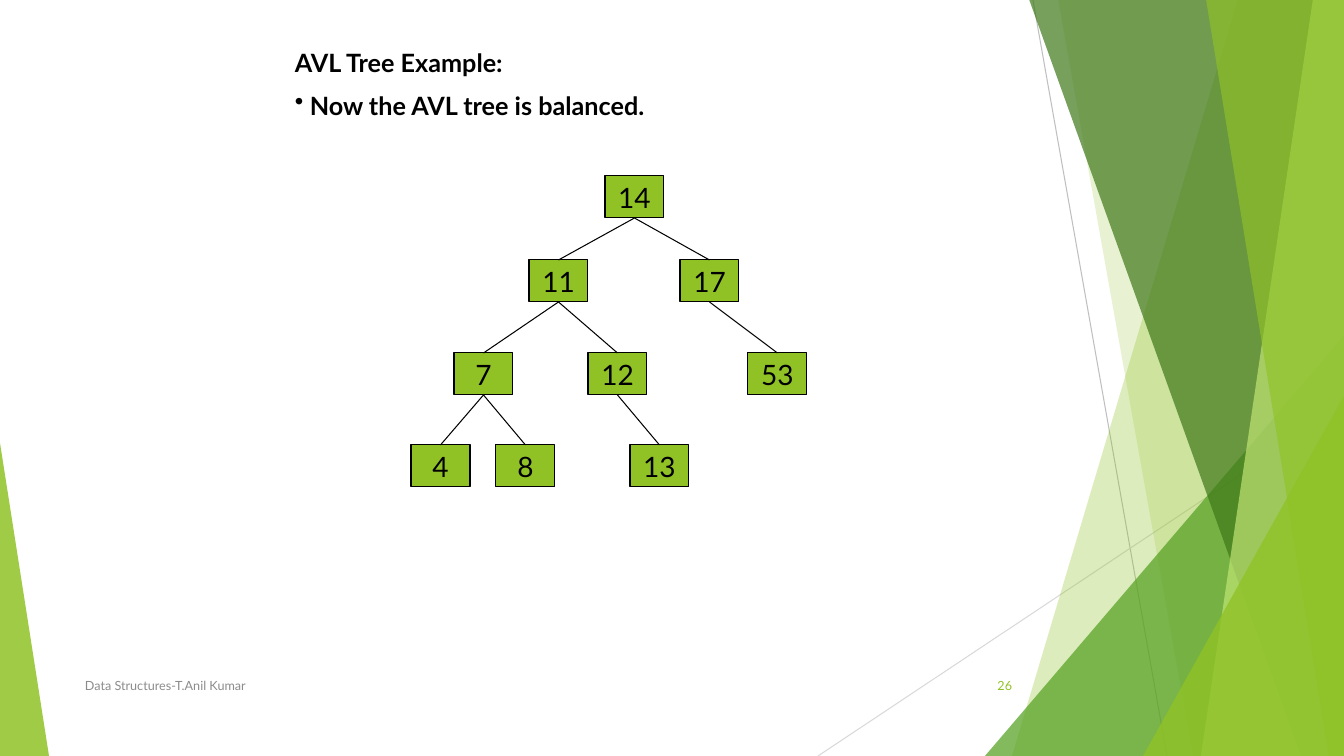
from lxml import etree
from pptx import Presentation, util as u
from pptx.dml.color import RGBColor
from pptx.enum import shapes, text
from pptx.oxml.ns import qn

# Content: node label -> (left px, level)
NODES = {
    "14": (605, 0), "11": (529, 1), "17": (680, 1),
    "7": (454, 2), "12": (588, 2), "53": (748, 2),
    "4": (411, 3), "8": (496, 3), "13": (630, 3),
}
EDGES = [("14", "11"), ("14", "17"), ("11", "7"), ("11", "12"),
         ("17", "53"), ("7", "4"), ("7", "8"), ("12", "13")]
TITLE = "AVL Tree Example:"
POINT = "Now the AVL tree is balanced."
FOOTER = "Data Structures-T.Anil Kumar"
NUMBER = "26"

# Colours
WHITE = RGBColor(0xFF, 0xFF, 0xFF)
BLACK = RGBColor(0, 0, 0)
LIME = RGBColor(0x90, 0xC2, 0x26)
GREEN = RGBColor(0x54, 0xA0, 0x21)
DARK = RGBColor(0x3F, 0x78, 0x19)
PALE = RGBColor(0xC0, 0xE4, 0x74)
GRAY = RGBColor(0x8C, 0x8C, 0x8C)
SILVER = RGBColor(0xBF, 0xBF, 0xBF)
MIST = RGBColor(0xD9, 0xD9, 0xD9)

# Geometry in px
WIDE, HIGH = 1344, 756
LEVELS = [176, 260, 353, 445]
NODE_W, NODE_H = 59, 42
HANG = 15
RAYS = [((1033, 0), (1167, HIGH), SILVER), ((WIDE, 406), (818, HIGH), MIST)]
# Bands reach the right edge: (top x, bottom x); triangles: (box, apex)
FACETS = [
    ("band", (1238, 1012), LIME, 30),
    ("band", (1058, 1193), LIME, 20),
    ("tri", ((985, 336, 359, 420), 1), GREEN, 72),
    ("band", (1029, 1301), DARK, 70),
    ("band", (1313, 1201), PALE, 70),
    ("band", (1206, 1329), LIME, 65),
    ("tri", ((1143, 396, 201, 360), 1), LIME, 80),
    ("tri", ((0, 443, 49, 313), 0), LIME, 85),
]
SCALE = 914400 / 100.8


def px(*nums):
    return [u.Emu(round(n * SCALE)) for n in nums]


def style(para, size, color, **extra):
    form = {"name": "Lato", "size": u.Pt(size), **extra}
    for key, val in form.items():
        setattr(para.font, key, val)
    para.font.color.rgb = color


def line(start, end, color):
    link = slide.shapes.add_connector(
        shapes.MSO_CONNECTOR.STRAIGHT, *px(*start, *end))
    link.line.color.rgb = color
    link.line.width = u.Pt(0.75)
    etree.SubElement(link._element.spPr, qn("a:effectLst"))


def facet(kind, data, color, alpha):
    if kind == "band":
        top, base = data
        pen = slide.shapes.build_freeform(top, -1, scale=SCALE)
        pen.add_line_segments([(WIDE, -1), (WIDE, HIGH), (base, HIGH)])
        shape = pen.convert_to_shape()
    else:
        box, apex = data
        shape = slide.shapes.add_shape(
            shapes.MSO_SHAPE.ISOSCELES_TRIANGLE, *px(*box))
        shape.adjustments[0] = apex
    shape.shadow.inherit = False
    shape.line.fill.background()
    shape.fill.solid()
    shape.fill.fore_color.rgb = color
    tint = shape._element.spPr.find(".//" + qn("a:srgbClr"))
    etree.SubElement(tint, qn("a:alpha"), val=str(alpha * 1000))


def label(box, words, size, color, align=text.PP_ALIGN.LEFT,
          anchor=text.MSO_ANCHOR.MIDDLE, **extra):
    frame = slide.shapes.add_textbox(*px(*box)).text_frame
    frame.word_wrap = True
    frame.vertical_anchor = anchor
    para = frame.paragraphs[0]
    para.text, para.alignment = words, align
    style(para, size, color, **extra)
    return frame


def node(name):
    left, level = NODES[name]
    shape = slide.shapes.add_shape(
        shapes.MSO_SHAPE.RECTANGLE, *px(left, LEVELS[level], NODE_W, NODE_H))
    shape.shadow.inherit = False
    shape.fill.solid()
    shape.fill.fore_color.rgb = LIME
    shape.line.color.rgb = BLACK
    shape.line.width = u.Pt(0.75)
    frame = shape.text_frame
    frame.word_wrap = False
    frame.vertical_anchor = text.MSO_ANCHOR.MIDDLE
    para = frame.paragraphs[0]
    para.text, para.alignment = name, text.PP_ALIGN.CENTER
    style(para, 20, BLACK)


def port(name, drop):
    left, level = NODES[name]
    return left + NODE_W / 2, LEVELS[level] + drop


deck = Presentation()
deck.slide_width, deck.slide_height = px(WIDE, HIGH)
slide = deck.slides.add_slide(deck.slide_layouts[6])
slide.background.fill.solid()
slide.background.fill.fore_color.rgb = WHITE

# Backdrop
for ray in RAYS:
    line(*ray)
for part in FACETS:
    facet(*part)

# Heading and bulleted point
head = label((285, 42, 789, 86), TITLE, 18, BLACK,
             anchor=text.MSO_ANCHOR.TOP, bold=True)
item = head.add_paragraph()
item.text = POINT
item.space_before = u.Pt(9)
props = item._p.get_or_add_pPr()
hang = px(HANG)[0]
props.set("marL", str(hang))
props.set("indent", str(-hang))
etree.SubElement(props, qn("a:buChar"), char="•")
style(item, 18, BLACK, bold=True)

# Tree
for name in NODES:
    node(name)
for parent, child in EDGES:
    line(port(parent, NODE_H), port(child, 0), BLACK)

# Footer
label((75, 666, 695, 40), FOOTER, 9, GRAY)
label((947, 666, 75, 40), NUMBER, 9, LIME, text.PP_ALIGN.RIGHT)

deck.save("out.pptx")
